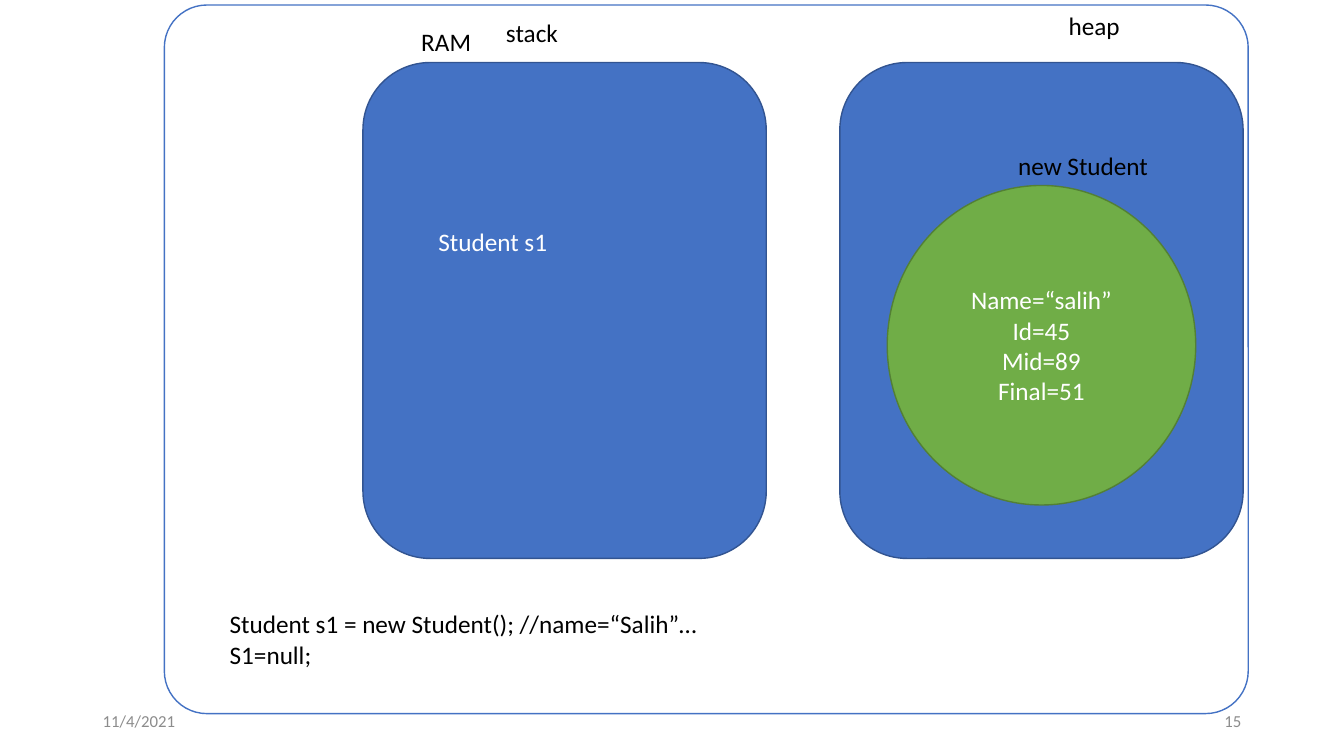
"""Build a slide showing a Student object in stack and heap memory."""
from pptx import Presentation
from pptx.dml.color import RGBColor
from pptx.enum.shapes import MSO_SHAPE
from pptx.enum.text import MSO_ANCHOR, PP_ALIGN
from pptx.util import Inches, Pt

ROUNDED, OVAL = MSO_SHAPE.ROUNDED_RECTANGLE, MSO_SHAPE.OVAL
LEFT, CENTER, RIGHT = PP_ALIGN.LEFT, PP_ALIGN.CENTER, PP_ALIGN.RIGHT
TOP, MIDDLE = MSO_ANCHOR.TOP, MSO_ANCHOR.MIDDLE
WHITE = RGBColor(0xFF, 0xFF, 0xFF)
BLACK = RGBColor(0x00, 0x00, 0x00)
GRAY = RGBColor(0x8C, 0x8C, 0x8C)
BLUE = RGBColor(0x44, 0x72, 0xC4)
DARK_BLUE = RGBColor(0x32, 0x54, 0x91)
GREEN = RGBColor(0x70, 0xAD, 0x47)
DARK_GREEN = RGBColor(0x53, 0x80, 0x35)

FIELDS = ["Name=“salih”", "Id=45", "Mid=89", "Final=51"]
CODE = ["Student s1 = new Student(); //name=“Salih”…", "S1=null;"]

LINE_H = 0.4
FRAME = (1.63, 0.05, 10.75, 7.03)
PANEL_TOP, PANEL_W, PANEL_H = 0.62, 4, 4.92
STACK_X, HEAP_X = 3.6, 8.33
OBJECT_W, OBJECT_H = 3.06, 3.17
OBJECT = (HEAP_X + (PANEL_W - OBJECT_W) / 2, 1.84, OBJECT_W, OBJECT_H)
FOOTER_Y, FOOTER_W, FOOTER_MARGIN = 6.95, 3, 0.92
SLIDE_W, SLIDE_H = 13.33, 7.5

LABELS = [
    ("stack", 4.92, 0.12, 0.72, False, BLACK),
    ("RAM", 4.08, 0.21, 0.7, False, BLACK),
    ("heap", 10.5, 0.05, 0.72, False, BLACK),
    ("Student s1", 4.25, 2.2, 1.45, True, WHITE),
    ("new Student", 10, 1.44, 2.03, True, BLACK),
]
FOOTERS = [
    ("11/4/2021", FOOTER_MARGIN, LEFT),
    ("15", SLIDE_W - FOOTER_MARGIN - FOOTER_W, RIGHT),
]


def add_block(s, kind, box, fill, line):
    sp = s.shapes.add_shape(kind, *map(Inches, box))
    sp.shadow.inherit = False
    sp.fill.solid()
    sp.fill.fore_color.rgb = fill
    sp.line.color.rgb = line
    sp.line.width = Pt(1)
    return sp


def write(sp, lines, color, size=18, align=LEFT, anchor=TOP, wrap=True):
    tf = sp.text_frame
    tf.word_wrap = wrap
    tf.vertical_anchor = anchor
    for i, line in enumerate(lines):
        p = tf.add_paragraph() if i else tf.paragraphs[0]
        p.alignment = align
        r = p.add_run()
        r.text = line
        r.font.name = "Calibri"
        r.font.size = Pt(size)
        r.font.color.rgb = color


def add_text(s, box, lines, color, **style):
    write(s.shapes.add_textbox(*map(Inches, box)), lines, color, **style)


def main():
    prs = Presentation()
    prs.slide_width, prs.slide_height = Inches(SLIDE_W), Inches(SLIDE_H)
    s = prs.slides.add_slide(prs.slide_layouts[6])

    frame = add_block(s, ROUNDED, FRAME, WHITE, BLUE)
    frame.adjustments[0] = 0.06
    for text, x, align in FOOTERS:
        add_text(s, (x, FOOTER_Y, FOOTER_W, LINE_H), [text], GRAY,
                 size=12, align=align, anchor=MIDDLE)

    for x in (HEAP_X, STACK_X):
        add_block(s, ROUNDED, (x, PANEL_TOP, PANEL_W, PANEL_H), BLUE, DARK_BLUE)
    student = add_block(s, OVAL, OBJECT, GREEN, DARK_GREEN)
    write(student, FIELDS, WHITE, align=CENTER, anchor=MIDDLE)

    for text, x, y, w, wrap, color in LABELS:
        add_text(s, (x, y, w, LINE_H), [text], color, wrap=wrap)
    add_text(s, (2.18, 5.99, 5.74, 0.71), CODE, BLACK)

    prs.save("out.pptx")


if __name__ == "__main__":
    main()
